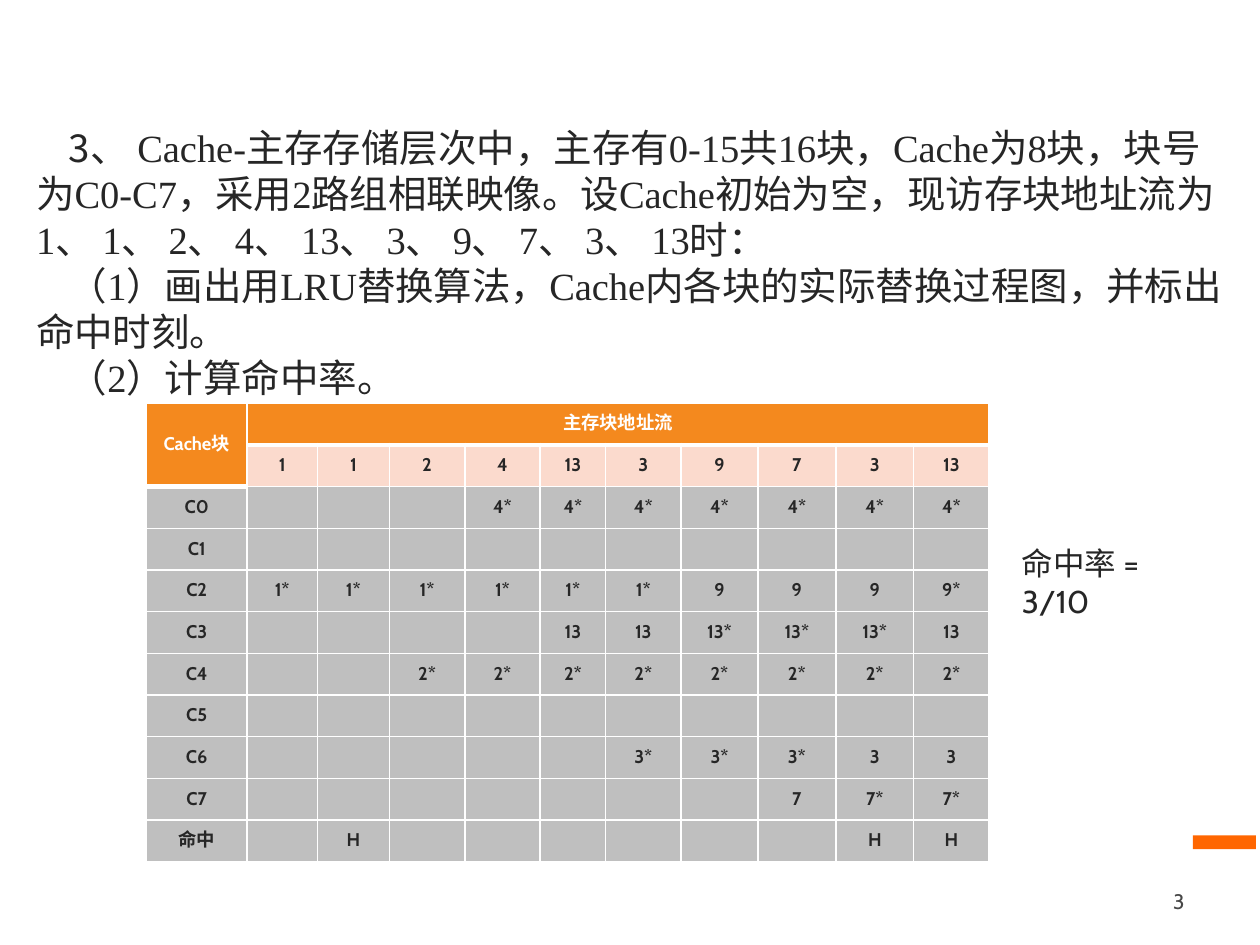
import pptx
import pptx.dml.color
import pptx.enum.shapes
import pptx.enum.text
import pptx.oxml
import pptx.oxml.ns
import pptx.util
from lxml import etree

Cm, Pt = pptx.util.Cm, pptx.util.Pt
RGBColor = pptx.dml.color.RGBColor
PP_ALIGN = pptx.enum.text.PP_ALIGN
MSO_ANCHOR = pptx.enum.text.MSO_ANCHOR
qn = pptx.oxml.ns.qn

WHITE = RGBColor(0xFF, 0xFF, 0xFF)
DARK = RGBColor(0x26, 0x26, 0x26)
NUMBER_GREY = RGBColor(0x47, 0x47, 0x47)
ACCENT = RGBColor(0xFF, 0x66, 0x00)
HEADER = RGBColor(0xF4, 0x89, 0x1E)
STREAM = RGBColor(0xFB, 0xDA, 0xCD)
GREY = RGBColor(0xBF, 0xBF, 0xBF)

LATIN, CJK, SERIF = "Cabin", "Noto Sans CJK SC", "Times New Roman"

QUESTION = [
    "Cache-主存存储层次中，主存有0-15共16块，Cache为8块，块号为C0-C7，"
    "采用2路组相联映像。设Cache初始为空，现访存块地址流为"
    "1、 1、 2、 4、 13、 3、 9、 7、 3、 13时：",
    "（1）画出用LRU替换算法，Cache内各块的实际替换过程图，并标出命中时刻。",
    "（2）计算命中率。",
]

ADDRESSES = [1, 1, 2, 4, 13, 3, 9, 7, 3, 13]
# Row label and its entries, aligned to the last address
CACHE_ROWS = [
    ("C0", ["4*"] * 7),
    ("C1", []),
    ("C2", ["1*"] * 6 + ["9"] * 3 + ["9*"]),
    ("C3", ["13"] * 2 + ["13*"] * 3 + ["13"]),
    ("C4", ["2*"] * 8),
    ("C5", []),
    ("C6", ["3*"] * 3 + ["3"] * 2),
    ("C7", ["7"] + ["7*"] * 2),
    ("命中", ["H"] + [""] * 6 + ["H"] * 2),
]
COLUMN_WIDTHS = [2.03, 1.42, 1.45, 1.52, 1.52, 1.32, 1.52, 1.55, 1.57, 1.57, 1.52]
ROW_HEIGHT = 0.84


def set_font(font, size, color, name, bold=False):
    font.size, font.name, font.bold = Pt(size), name, bold
    font.color.rgb = color


def add_text(s, left, top, width, height, text, size, color, name,
             align=PP_ALIGN.LEFT, anchor=MSO_ANCHOR.TOP):
    tf = s.shapes.add_textbox(Cm(left), Cm(top), Cm(width), Cm(height)).text_frame
    tf.word_wrap = True
    tf.vertical_anchor = anchor
    p = tf.paragraphs[0]
    p.text, p.alignment = text, align
    set_font(p.font, size, color, name)
    return tf


def add_question(s):
    tf = s.shapes.add_textbox(Cm(0.48), Cm(2.34), Cm(24.43), Cm(5.89)).text_frame
    tf.word_wrap = True
    tf.vertical_anchor = MSO_ANCHOR.MIDDLE
    for i, text in enumerate(QUESTION):
        p = tf.paragraphs[0] if i == 0 else tf.add_paragraph()
        p.line_spacing = Pt(26.4)
        p._p.get_or_add_pPr().set("indent", str(Cm(0.66)))
        if i == 0:
            r = p.add_run()
            r.text = "3、"
            set_font(r.font, 22, DARK, CJK)
            text = " " + text
        r = p.add_run()
        r.text = text
        set_font(r.font, 22, DARK, SERIF)


def set_borders(cell, bottom):
    tcPr = cell._tc.get_or_add_tcPr()
    for i, side in enumerate(("lnL", "lnR", "lnT", "lnB")):
        ln = etree.Element(qn("a:" + side))
        ln.set("w", str(Pt(bottom if side == "lnB" else 1)))
        fill = etree.SubElement(ln, qn("a:solidFill"))
        etree.SubElement(fill, qn("a:srgbClr")).set("val", str(WHITE))
        tcPr.insert(i, ln)


def fill_cell(cell, text, fill, color=DARK, bottom=1):
    cell.fill.solid()
    cell.fill.fore_color.rgb = fill
    cell.margin_left = cell.margin_right = Cm(0.18)
    cell.margin_top = cell.margin_bottom = 0
    cell.vertical_anchor = MSO_ANCHOR.MIDDLE
    p = cell.text_frame.paragraphs[0]
    p.alignment, p.line_spacing = PP_ALIGN.CENTER, Pt(12)
    set_font(p.font, 10.5, color, LATIN, bold=True)
    if text:
        p.text = text
    set_borders(cell, bottom)


def add_cache_table(s):
    rows, cols = len(CACHE_ROWS) + 2, len(COLUMN_WIDTHS)
    table = s.shapes.add_table(rows, cols, Cm(2.95), Cm(8.13),
                               Cm(sum(COLUMN_WIDTHS)), Cm(rows * ROW_HEIGHT)).table
    for column, width in zip(table.columns, COLUMN_WIDTHS):
        column.width = Cm(width)
    for row in table.rows:
        row.height = Cm(ROW_HEIGHT)

    # Header: block label over two rows, address stream over ten columns
    table.cell(0, 0).merge(table.cell(1, 0))
    table.cell(0, 1).merge(table.cell(0, cols - 1))
    for c in range(cols):
        text = ("Cache块", "主存块地址流")[c] if c < 2 else ""
        fill_cell(table.cell(0, c), text, HEADER, WHITE, bottom=3)
    fill_cell(table.cell(1, 0), "", HEADER, WHITE, bottom=3)
    for c, address in enumerate(ADDRESSES, 1):
        fill_cell(table.cell(1, c), str(address), STREAM)

    # Contents of each cache block over time
    for r, (label, entries) in enumerate(CACHE_ROWS, 2):
        gap = [""] * (len(ADDRESSES) - len(entries))
        for c, text in enumerate([label] + gap + entries):
            fill_cell(table.cell(r, c), text, GREY)


def add_accent_bar(s):
    bar = s.shapes.add_shape(pptx.enum.shapes.MSO_SHAPE.RECTANGLE,
                             Cm(24.05), Cm(16.84), Cm(1.27), Cm(0.28))
    bar.shadow.inherit = False
    bar.fill.solid()
    bar.fill.fore_color.rgb = ACCENT
    bar.line.fill.background()


def main():
    prs = pptx.Presentation()
    prs.slide_width, prs.slide_height = Cm(25.4), Cm(19.05)
    s = prs.slides.add_slide(prs.slide_layouts[6])

    # Page furniture
    add_accent_bar(s)
    add_text(s, 18.21, 17.65, 5.92, 1.02, "3", 12, NUMBER_GREY, LATIN,
             PP_ALIGN.RIGHT, MSO_ANCHOR.MIDDLE)

    # Question, replacement table and hit rate
    add_question(s)
    add_cache_table(s)
    add_text(s, 20.35, 10.85, 4.3, 1.02, "命中率 = 3/10", 18, DARK, LATIN)

    prs.save("out.pptx")


if __name__ == "__main__":
    main()
